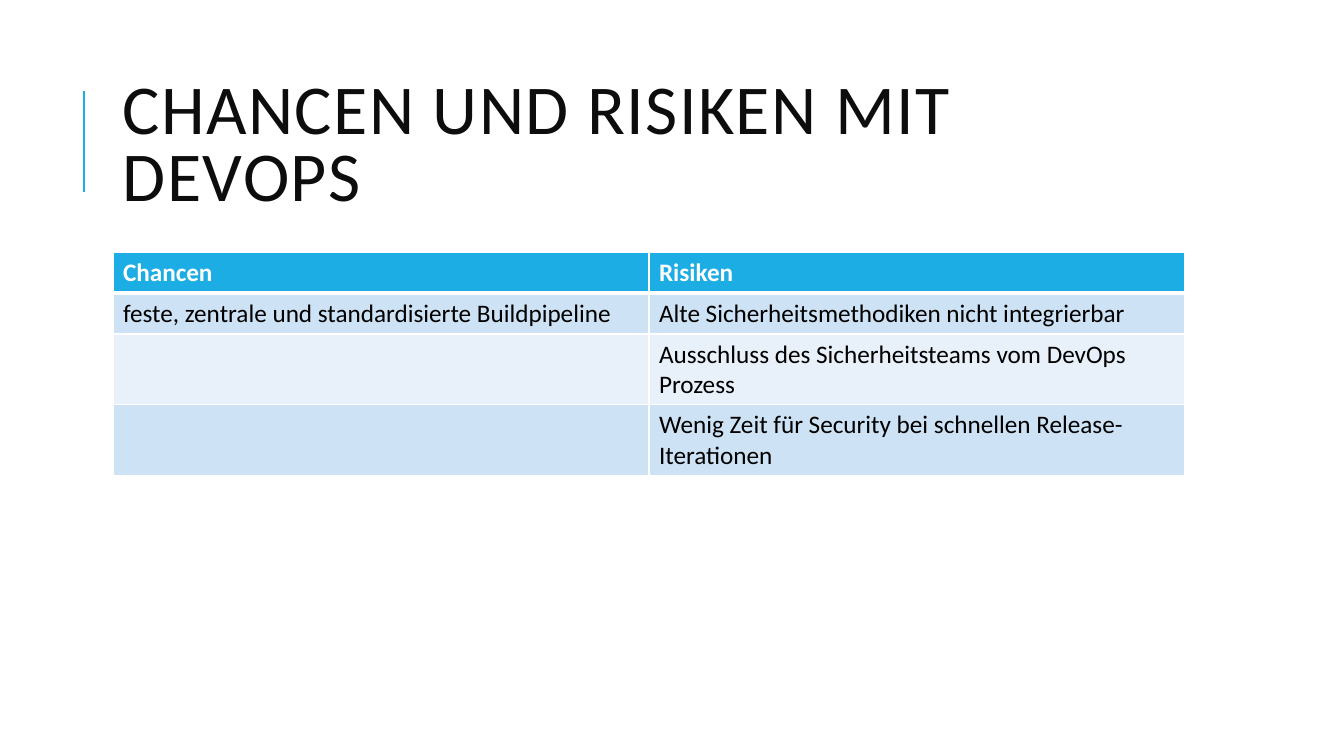
"""Builds a slide with a table of the chances and risks of DevOps."""
from lxml.etree import SubElement
from pptx import Presentation
from pptx.dml.color import RGBColor
from pptx.enum.shapes import MSO_CONNECTOR
from pptx.enum.text import MSO_ANCHOR
from pptx.oxml.ns import qn
from pptx.util import Emu, Pt

PX = 914400 / 100.8
ACCENT = "1CADE4"
WHITE = "FFFFFF"
BANDS = ["CDE3F5", "E8F1FA"]
ROWS = [
    ("Chancen", "Risiken"),
    ("feste, zentrale und standardisierte Buildpipeline",
     "Alte Sicherheitsmethodiken nicht integrierbar"),
    ("", "Ausschluss des Sicherheitsteams vom DevOps Prozess"),
    ("", "Wenig Zeit für Security bei schnellen Release-Iterationen"),
]


def paint(color_format, color):
    color_format.rgb = RGBColor.from_string(color)


def write(frame, text, size=18, color="000000", bold=False, line_spacing=1.0, tracking=0):
    paragraph = frame.paragraphs[0]
    paragraph.line_spacing = line_spacing
    paragraph.font.size = Pt(size)
    if text:
        run = paragraph.add_run()
        run.text = text
        run.font.name = "Calibri"
        run.font.size = Pt(size)
        run.font.bold = bold
        paint(run.font.color, color)
        run.font._element.set("spc", str(tracking * 100))


presentation = Presentation()
presentation.slide_width = Emu(round(1344 * PX))
presentation.slide_height = Emu(round(756 * PX))
slide = presentation.slides.add_slide(presentation.slide_layouts[6])

title_line = slide.shapes.add_connector(
    MSO_CONNECTOR.STRAIGHT, *[Emu(round(n * PX)) for n in (84, 192, 84, 91)])
title_line.line.width = Pt(1.5)
paint(title_line.line.color, ACCENT)
SubElement(title_line._element.spPr, qn("a:effectLst"))

title = slide.shapes.add_textbox(*[Emu(round(n * PX)) for n in (113, 65, 1072, 165)]).text_frame
title.word_wrap = True
title.vertical_anchor = MSO_ANCHOR.MIDDLE
write(title, "CHANCEN UND RISIKEN MIT DEVOPS", size=50, color="0D0D0D",
      line_spacing=0.8, tracking=1)

comparison = slide.shapes.add_table(
    len(ROWS), 2, *[Emu(round(n * PX)) for n in (113, 252, 1072, 41 * len(ROWS))]).table
for row, entries in enumerate(ROWS):
    header = row == 0
    for column, entry in enumerate(entries):
        cell = comparison.cell(row, column)
        write(cell.text_frame, entry, color=WHITE if header else "000000", bold=header)
        properties = cell._tc.get_or_add_tcPr()
        for side in ("lnL", "lnR", "lnT", "lnB"):
            thick = (header and side == "lnB") or (row == 1 and side == "lnT")
            border = SubElement(properties, qn(f"a:{side}"), w=str(Pt(3 if thick else 1)))
            SubElement(SubElement(border, qn("a:solidFill")), qn("a:srgbClr"), val=WHITE)
        cell.fill.solid()
        paint(cell.fill.fore_color, ACCENT if header else BANDS[(row - 1) % 2])

presentation.save("out.pptx")
